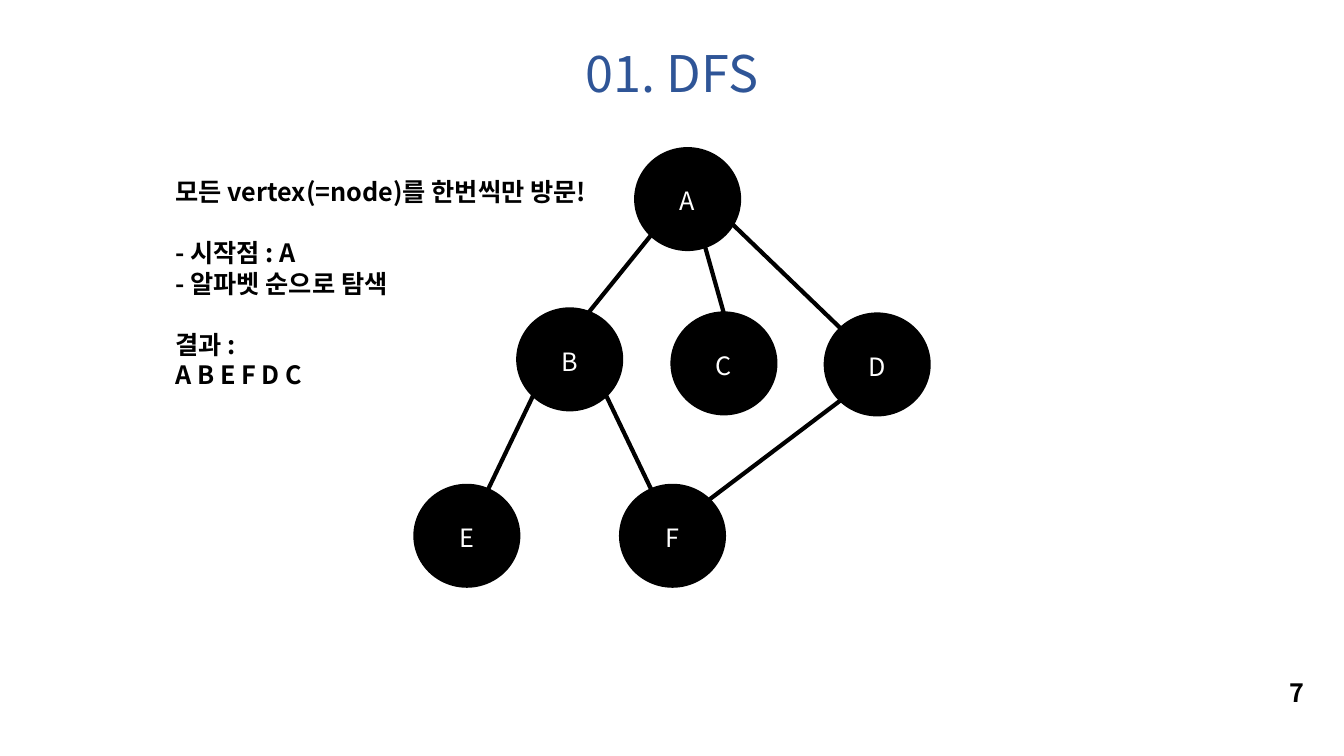
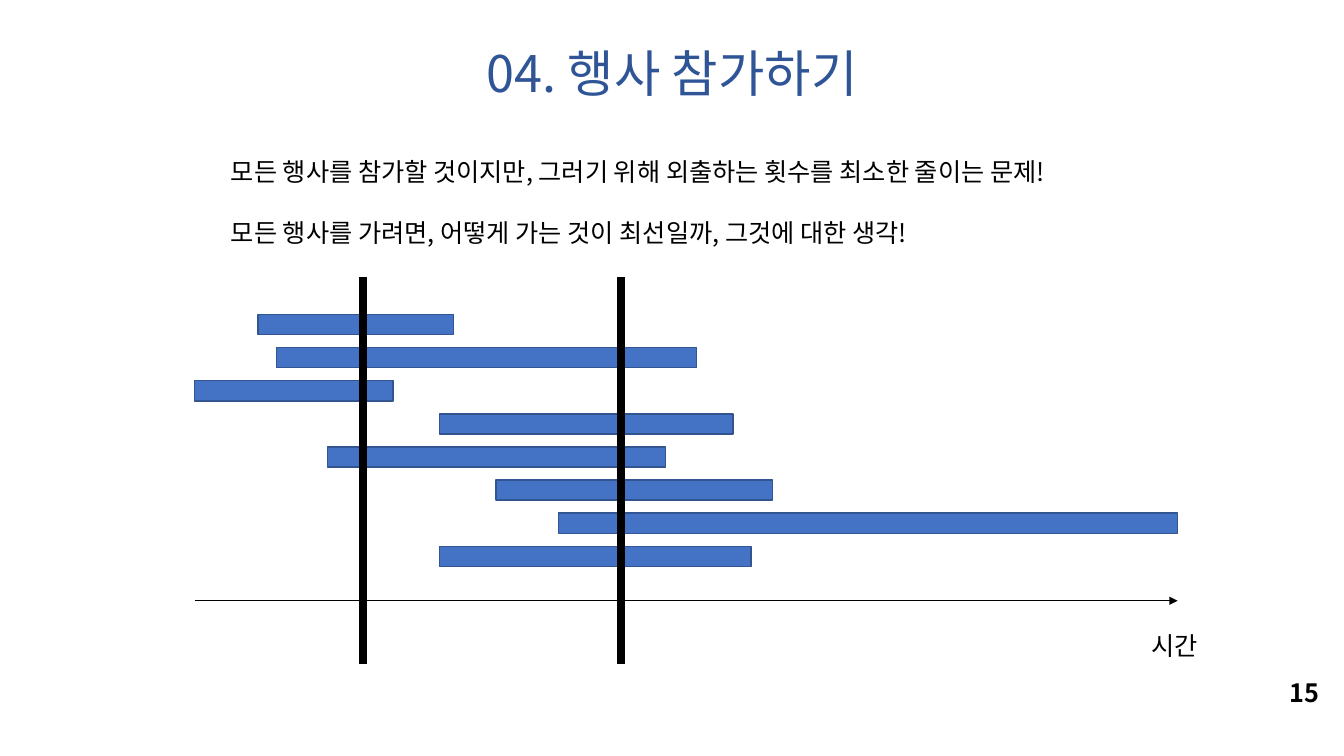
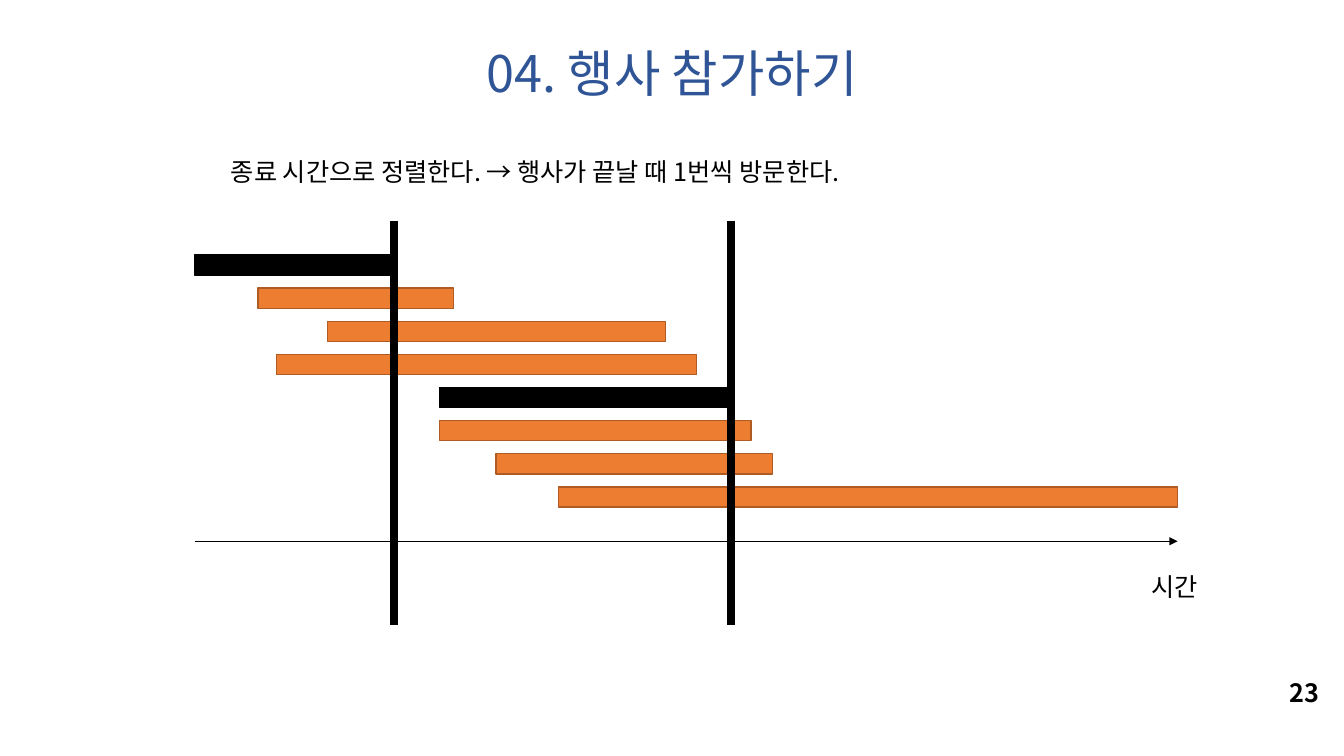
from pptx import Presentation
from pptx.dml.color import RGBColor
from pptx.enum.shapes import MSO_CONNECTOR, MSO_SHAPE
from pptx.enum.text import MSO_ANCHOR, MSO_AUTO_SIZE, PP_ALIGN
from pptx.oxml.ns import qn
from pptx.util import Inches, Pt

STRAIGHT = MSO_CONNECTOR.STRAIGHT
OVAL, RECTANGLE = MSO_SHAPE.OVAL, MSO_SHAPE.RECTANGLE
TOP, MIDDLE = MSO_ANCHOR.TOP, MSO_ANCHOR.MIDDLE
LEFT, CENTER = PP_ALIGN.LEFT, PP_ALIGN.CENTER
NO_AUTOFIT = MSO_AUTO_SIZE.NONE

FONT = "Noto Sans CJK KR"
BLACK, WHITE, TITLE_BLUE = "000000", "FFFFFF", "2F5597"
BLUE_BAR = ("4472C4", "325491")
ORANGE_BAR = ("ED7D31", "AF5C24")
BLACK_BAR = (BLACK, BLACK)

TEXT_SIZE, TITLE_SIZE = 18, 36
LIST_PITCH = 21.8
SINGLE_LINE = 1.33

NODE_WIDTH, NODE_HEIGHT = 1.02, 0.99
NODES = {
    "A": (6.31, 1.48), "B": (5.14, 3.07), "C": (6.67, 3.11),
    "D": (8.19, 3.12), "E": (4.12, 4.82), "F": (6.16, 4.82),
}
EDGES = [
    (6.46, 2.33, 5.83, 3.11), (6.96, 2.33, 7.18, 3.11),
    (7.25, 2.21, 8.34, 3.26), (5.29, 3.92, 4.81, 4.92),
    (6.01, 3.92, 6.49, 4.92), (7.03, 4.96, 8.34, 3.97),
]

EVENTS = [
    (2.56, 1.94), (2.74, 4.17), (1.93, 1.97), (4.36, 2.91),
    (3.25, 3.35), (4.92, 2.74), (5.54, 6.14), (4.36, 3.09),
]
BAR_HEIGHT = 0.2
BAR_PITCH = 2.3 / (len(EVENTS) - 1)
AXIS_START, AXIS_END, AXIS_OFFSET = 1.93, 11.68, 2.84


def color(value):
    return RGBColor.from_string(value)


def place(shape, left, top, width, height):
    shape.left, shape.top = Inches(left), Inches(top)
    shape.width, shape.height = Inches(width), Inches(height)


def format_span(span, size, ink, bold):
    font = span.font
    font.name, font.size, font.bold = FONT, Pt(size), bold
    font.color.rgb = color(ink)
    east_asian = span._r.get_or_add_rPr().makeelement(qn("a:ea"), {"typeface": FONT})
    font._element.find(qn("a:latin")).addnext(east_asian)


def write(shape, lines, ink=BLACK, size=TEXT_SIZE, bold=False, align=LEFT,
          anchor=MIDDLE, pitch=None, gaps=()):
    frame = shape.text_frame
    frame.word_wrap = True
    frame.auto_size = NO_AUTOFIT
    frame.vertical_anchor = anchor
    frame.margin_left = frame.margin_right = Inches(0.1)
    frame.margin_top = frame.margin_bottom = Inches(0.05)
    for index, line in enumerate(lines):
        para = frame.add_paragraph() if index else frame.paragraphs[0]
        para.text = line
        para.alignment = align
        para.line_spacing = Pt(pitch or size * SINGLE_LINE)
        para.space_before = Pt(pitch if index in gaps else 0)
        para.space_after = Pt(0)
        for span in para.runs:
            format_span(span, size, ink, bold)


def remove_bullets(shape):
    for para in shape.text_frame.paragraphs:
        properties = para._p.get_or_add_pPr()
        properties.set("marL", "0")
        properties.set("indent", "0")
        properties.append(properties.makeelement(qn("a:buNone"), {}))


def add_label(slide, text, left, top, width, bold=False):
    box = slide.shapes.add_textbox(0, 0, 0, 0)
    place(box, left, top, width, 0.4)
    write(box, [text], bold=bold)


def add_page(deck, title, number, lines, body_at, gaps=(), bold=False):
    slide = deck.slides.add_slide(deck.slide_layouts[1])
    heading, body = slide.placeholders
    place(heading, 0, 0.33, 13.33, 0.72)
    write(heading, [title], TITLE_BLUE, TITLE_SIZE, align=CENTER)
    place(body, *body_at)
    write(body, lines, bold=bold, anchor=TOP, pitch=LIST_PITCH, gaps=gaps)
    remove_bullets(body)
    add_label(slide, number, 12.69, 6.65, 0.6, bold=True)
    return slide


def add_filled(slide, preset, at, fill, outline, weight):
    shape = slide.shapes.add_shape(preset, 0, 0, 0, 0)
    place(shape, *at)
    shape.shadow.inherit = False
    shape.fill.solid()
    shape.fill.fore_color.rgb = color(fill)
    shape.line.color.rgb = color(outline)
    shape.line.width = Pt(weight)
    return shape


def add_line(slide, ends, weight, arrow=False):
    line = slide.shapes.add_connector(STRAIGHT, *map(Inches, ends))
    line.line.color.rgb = color(BLACK)
    line.line.width = Pt(weight)
    properties = line._element.spPr
    properties.append(properties.makeelement(qn("a:effectLst"), {}))
    if arrow:
        stroke = line.line._get_or_add_ln()
        stroke.append(stroke.makeelement(qn("a:tailEnd"), {"type": "triangle"}))


def add_graph(slide):
    for name, (left, top) in NODES.items():
        node = add_filled(slide, OVAL, (left, top, NODE_WIDTH, NODE_HEIGHT),
                          BLACK, BLACK, 3)
        write(node, [name], WHITE, align=CENTER)
    for ends in EDGES:
        add_line(slide, ends, 3)


def add_timeline(slide, events, top, bar_colors, visits, visit_top, visit_bottom,
                 chosen=()):
    for row, (start, length) in enumerate(events):
        fill, outline = BLACK_BAR if (start, length) in chosen else bar_colors
        at = (start, top + row * BAR_PITCH, length, BAR_HEIGHT)
        add_filled(slide, RECTANGLE, at, fill, outline, 1)
    axis = top + AXIS_OFFSET
    add_line(slide, (AXIS_START, axis, AXIS_END, axis), 0.5, arrow=True)
    add_label(slide, "시간", 11.32, axis + 0.23, 0.71)
    for visit in visits:
        add_line(slide, (visit, visit_top, visit, visit_bottom), 6)


def choose_events(events):
    chosen, last_end = [], 0
    for start, length in events:
        if start > last_end:
            chosen.append((start, length))
            last_end = start + length
    return chosen


def main():
    deck = Presentation()
    deck.slide_width, deck.slide_height = Inches(13.33), Inches(7.5)

    search = add_page(deck, "01. DFS", "7", [
        "모든 vertex(=node)를 한번씩만 방문!",
        "- 시작점 : A",
        "- 알파벳 순으로 탐색",
        "결과 :",
        "A B E F D C",
    ], (1.64, 1.7, 4.75, 2.22), gaps=(1, 3), bold=True)
    add_graph(search)

    event_title = "04. 행사 참가하기"
    problem = add_page(deck, event_title, "15", [
        "모든 행사를 참가할 것이지만, 그러기 위해 외출하는 횟수를 최소한 줄이는 문제!",
        "모든 행사를 가려면, 어떻게 가는 것이 최선일까, 그것에 대한 생각!",
    ], (2.19, 1.5, 11.14, 1.01), gaps=(1,))
    add_timeline(problem, EVENTS, 3.12, BLUE_BAR, (3.6, 6.16), 2.75, 6.59)

    solution = add_page(deck, event_title, "23", [
        "종료 시간으로 정렬한다. → 행사가 끝날 때 1번씩 방문한다.",
    ], (2.19, 1.5, 11.14, 0.4))
    by_end = sorted(EVENTS, key=sum)
    add_timeline(solution, by_end, 2.53, ORANGE_BAR, (3.91, 7.25), 2.19, 6.2,
                 choose_events(by_end))

    deck.save("out.pptx")


if __name__ == "__main__":
    main()
